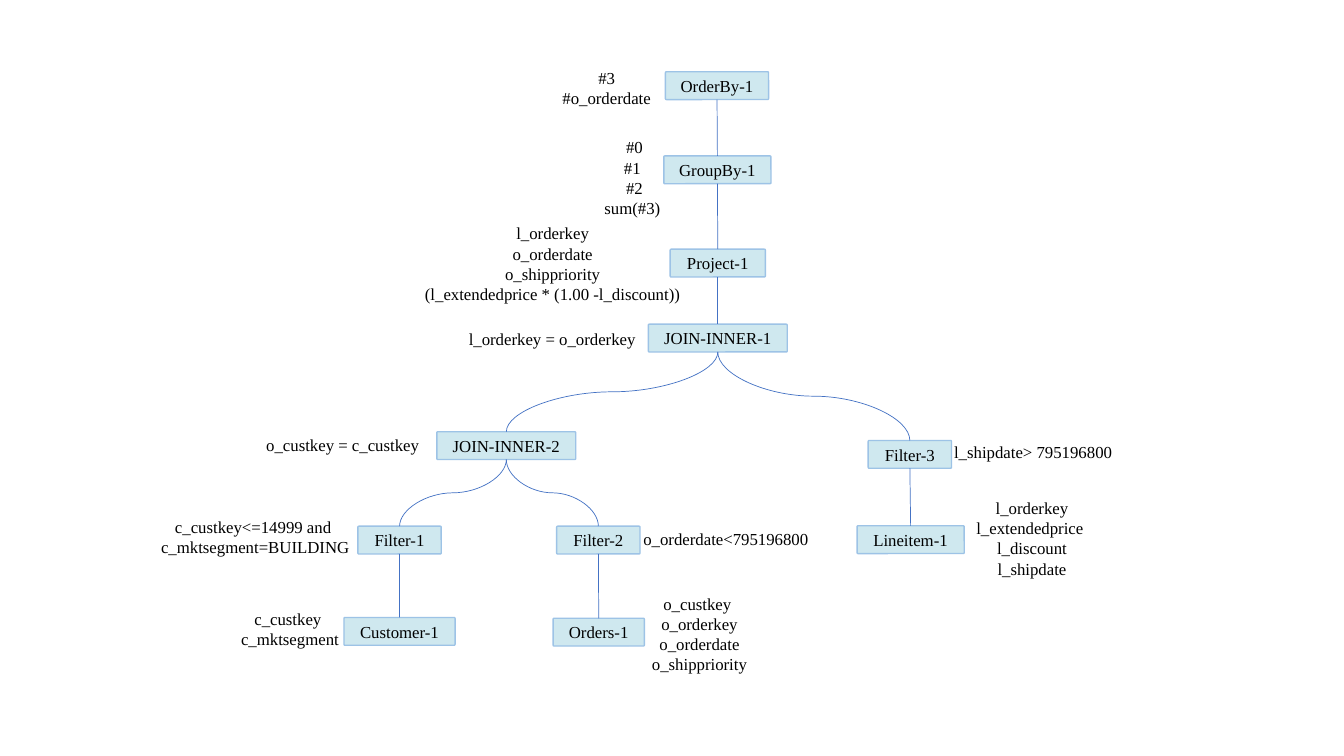
from pptx import Presentation
from pptx.dml.color import RGBColor
from pptx.enum.shapes import MSO_CONNECTOR, MSO_SHAPE
from pptx.enum.text import MSO_ANCHOR, MSO_AUTO_SIZE, PP_ALIGN
from pptx.oxml.ns import qn
from pptx.util import Cm, Pt
from lxml import etree

ROUNDED = MSO_SHAPE.ROUNDED_RECTANGLE
STRAIGHT, CURVE = MSO_CONNECTOR.STRAIGHT, MSO_CONNECTOR.CURVE
LEFT, CENTER = PP_ALIGN.LEFT, PP_ALIGN.CENTER
MIDDLE = MSO_ANCHOR.MIDDLE
GROW = MSO_AUTO_SIZE.SHAPE_TO_FIT_TEXT

COLORS = {"fill": "CFE8EF", "border": "9DC3E6", "edge": "4472C4", "text": "000000"}
FONT = {"name": "Times New Roman", "size": Pt(12)}
NODE_HEIGHT = 0.7
LINE_HEIGHT = 0.51
TOP_SITE, BOTTOM_SITE = 0, 2

# Operator: centre x, top, width in cm
NODES = {
    "OrderBy-1": (18.07, 1.81, 2.6),
    "GroupBy-1": (18.08, 3.93, 2.7),
    "Project-1": (18.09, 6.28, 2.4),
    "JOIN-INNER-1": (18.09, 8.17, 3.5),
    "JOIN-INNER-2": (12.76, 10.88, 3.5),
    "Filter-3": (22.93, 11.1, 2.1),
    "Filter-1": (10.07, 13.26, 2.1),
    "Filter-2": (15.08, 13.26, 2.1),
    "Lineitem-1": (22.95, 13.25, 2.7),
    "Customer-1": (10.07, 15.56, 2.8),
    "Orders-1": (15.09, 15.58, 2.3),
}

EDGES = [
    ("OrderBy-1", "GroupBy-1", STRAIGHT),
    ("GroupBy-1", "Project-1", STRAIGHT),
    ("Project-1", "JOIN-INNER-1", STRAIGHT),
    ("JOIN-INNER-1", "JOIN-INNER-2", CURVE),
    ("JOIN-INNER-1", "Filter-3", CURVE),
    ("JOIN-INNER-2", "Filter-1", CURVE),
    ("JOIN-INNER-2", "Filter-2", CURVE),
    ("Filter-3", "Lineitem-1", STRAIGHT),
    ("Filter-1", "Customer-1", STRAIGHT),
    ("Filter-2", "Orders-1", STRAIGHT),
]

# Left, top, width in cm, alignment, lines
NOTES = [
    (13.88, 1.57, 2.82, CENTER, ["#3", "#o_orderdate"]),
    (14.96, 3.33, 2.06, CENTER, ["#0", "#1 ", "#2", "sum(#3) "]),
    (10.41, 5.5, 7.04, CENTER, ["l_orderkey", "o_orderdate", "o_shippriority",
                                "(l_extendedprice * (1.00 -l_discount))"]),
    (11.43, 8.15, 4.98, CENTER, ["l_orderkey = o_orderkey"]),
    (6.46, 10.82, 4.75, LEFT, ["o_custkey = c_custkey"]),
    (23.78, 11.01, 4.52, CENTER, ["l_shipdate> 795196800"]),
    (3.63, 12.89, 5.61, CENTER, ["c_custkey<=14999 and ", "c_mktsegment=BUILDING"]),
    (15.49, 13.19, 5.61, CENTER, ["o_orderdate<795196800"]),
    (24.32, 12.42, 3.38, CENTER, ["l_orderkey", "l_extendedprice ", "l_discount", "l_shipdate"]),
    (5.62, 15.22, 3.38, CENTER, ["c_custkey ", "c_mktsegment"]),
    (15.94, 14.83, 3.38, CENTER, ["o_custkey ", "o_orderkey", "o_orderdate", "o_shippriority"]),
]


def color(name):
    return RGBColor.from_string(COLORS[name])


def write_lines(frame, lines, alignment):
    for index, line in enumerate(lines):
        para = frame.add_paragraph() if index else frame.paragraphs[0]
        para.alignment = alignment
        span = para.add_run()
        span.text = line
        for key, value in FONT.items():
            setattr(span.font, key, value)
        span.font.color.rgb = color("text")


deck = Presentation()
deck.slide_width, deck.slide_height = Cm(33.87), Cm(19.05)
page = deck.slides.add_slide(deck.slide_layouts[6])

boxes = {}
for name, (center, top, width) in NODES.items():
    box = page.shapes.add_shape(ROUNDED, Cm(center - width / 2), Cm(top),
                                Cm(width), Cm(NODE_HEIGHT))
    box.adjustments[0] = 0.036
    box.shadow.inherit = False
    box.fill.solid()
    box.fill.fore_color.rgb = color("fill")
    box.line.color.rgb = color("border")
    box.line.width = Pt(1)
    box.text_frame.vertical_anchor = MIDDLE
    box.text_frame.word_wrap = True
    write_lines(box.text_frame, [name], CENTER)
    boxes[name] = box

for parent, child, kind in EDGES:
    edge = page.shapes.add_connector(kind, 0, 0, 0, 0)
    edge.begin_connect(boxes[parent], BOTTOM_SITE)
    edge.end_connect(boxes[child], TOP_SITE)
    edge.line.color.rgb = color("edge")
    edge.line.width = Pt(0.5)
    properties = edge._element.spPr
    etree.SubElement(properties, qn("a:effectLst"))
    if kind == CURVE:
        # A quarter turn makes the curve leave and arrive vertically
        goes_left = edge.end_x < edge.begin_x
        width, height = edge.width, edge.height
        edge.left += (width - height) // 2
        edge.top += (height - width) // 2
        edge.width, edge.height = height, width
        frame = properties.find(qn("a:xfrm"))
        frame.set("rot", str((90 if goes_left else 270) * 60000))
        frame.set("flipH", "0" if goes_left else "1")

for left, top, width, alignment, lines in NOTES:
    note = page.shapes.add_textbox(Cm(left), Cm(top), Cm(width),
                                   Cm(0.26 + LINE_HEIGHT * len(lines)))
    note.text_frame.word_wrap = True
    note.text_frame.auto_size = GROW
    write_lines(note.text_frame, lines, alignment)

deck.save("out.pptx")
